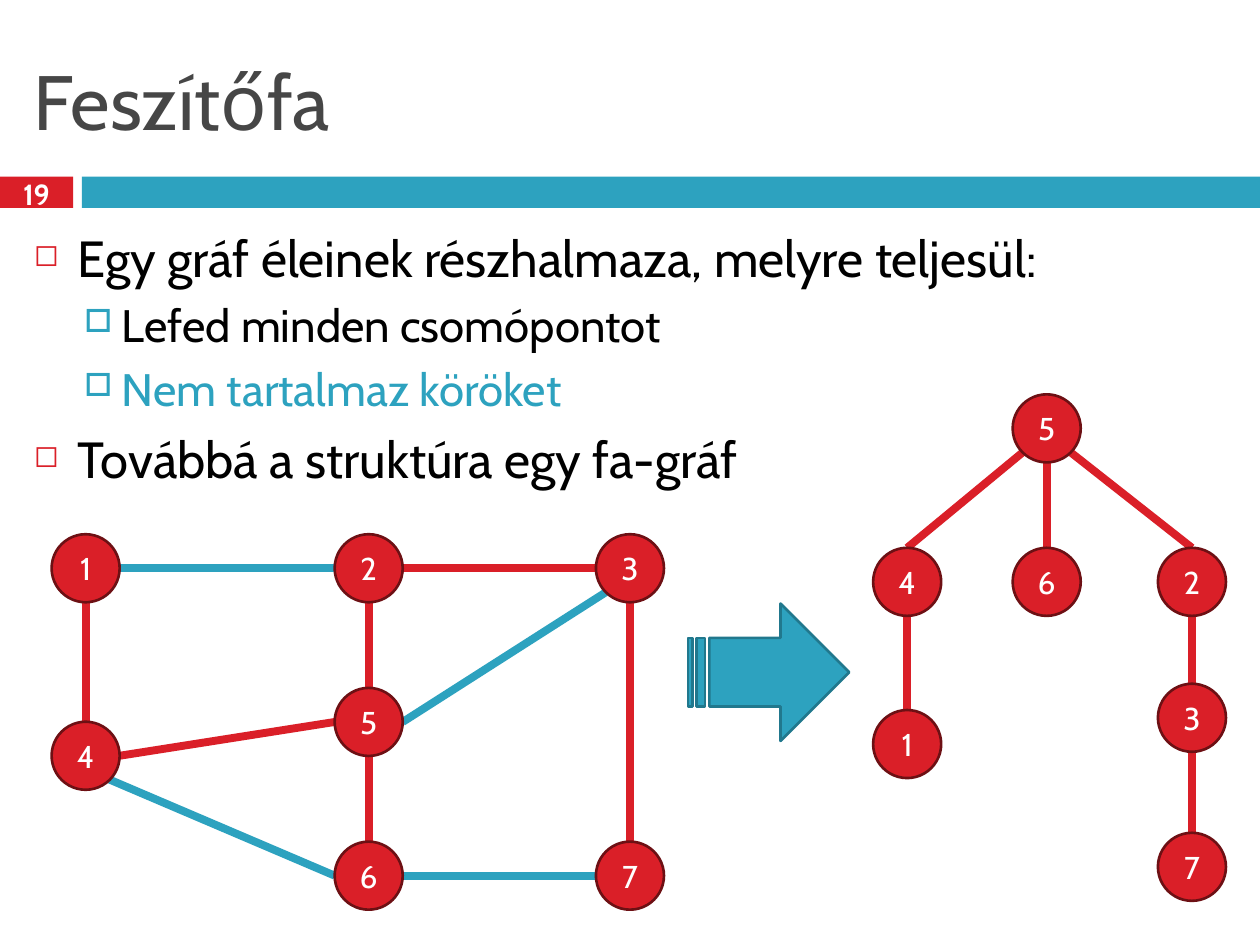
from dataclasses import dataclass

from lxml.etree import SubElement
from pptx import Presentation
from pptx.dml.color import RGBColor
from pptx.enum.shapes import MSO_CONNECTOR as Connector, MSO_SHAPE as Preset
from pptx.enum.text import MSO_ANCHOR as Anchor, PP_ALIGN as Align
from pptx.oxml.ns import qn
from pptx.util import Inches, Pt


@dataclass(frozen=True)
class Theme:
    font: str = "Cabin"
    red: str = "DA1F28"
    red_dark: str = "6D1014"
    blue: str = "2DA2BF"
    blue_dark: str = "21788D"
    grey: str = "464646"
    black: str = "000000"
    white: str = "FFFFFF"
    title: float = 44
    number: float = 16.6
    label: float = 18
    edge: float = 4.5
    outline: float = 1.5


@dataclass(frozen=True)
class Level:
    size: float
    indent: float
    hanging: float
    before: float
    bullet: str
    bullet_share: int
    bullet_color: str


THEME = Theme()
LEVELS = [Level(29, 0.35, 0.35, 7, "◻", 60, THEME.red),
          Level(26, 0.7, 0.3, 5.5, "□", 70, THEME.blue)]
WIDTH, HEIGHT = 10, 7.5
NODE = 0.54

# Where an edge meets a node, in node radii from its centre
SITES = {"n": (0, -1), "s": (0, 1), "w": (-1, 0), "e": (1, 0),
         "ne": (0.7, -0.7), "nw": (-0.7, -0.7),
         "se": (0.7, 0.7), "sw": (-0.7, 0.7)}


def color(value):
    return RGBColor.from_string(value)


def add_text(paragraph, text, *, size, fill=THEME.black, bold=False, align=Align.LEFT):
    paragraph.alignment = align
    run = paragraph.add_run()
    run.text = text
    font = run.font
    font.name, font.size, font.bold = THEME.font, Pt(size), bold
    font.color.rgb = color(fill)


def add_frame(slide, box, *, anchor=Anchor.TOP):
    frame = slide.shapes.add_textbox(*map(Inches, box)).text_frame
    frame.word_wrap = True
    frame.vertical_anchor = anchor
    return frame


def add_block(slide, preset, box, fill, outline=None):
    shape = slide.shapes.add_shape(preset, *map(Inches, box))
    shape.shadow.inherit = False
    shape.fill.solid()
    shape.fill.fore_color.rgb = color(fill)
    if outline:
        shape.line.color.rgb = color(outline)
        shape.line.width = Pt(THEME.outline)
    else:
        shape.line.fill.background()
    return shape


def add_edge(slide, start, end, stroke):
    edge = slide.shapes.add_connector(Connector.STRAIGHT, *map(Inches, (*start, *end)))
    edge.line.color.rgb = color(stroke)
    edge.line.width = Pt(THEME.edge)
    SubElement(edge._element.spPr, qn("a:effectLst"))


def add_node(slide, center, label):
    x, y = center
    node = add_block(slide, Preset.OVAL, (x - NODE / 2, y - NODE / 2, NODE, NODE),
                     THEME.red, THEME.red_dark)
    frame = node.text_frame
    frame.margin_left = frame.margin_right = 0
    frame.vertical_anchor = Anchor.MIDDLE
    add_text(frame.paragraphs[0], label, size=THEME.label, fill=THEME.white,
             align=Align.CENTER)


def set_bullet(paragraph, level):
    paragraph.space_before = Pt(level.before)
    properties = paragraph._p.get_or_add_pPr()
    properties.set("marL", str(Inches(level.indent)))
    properties.set("indent", str(-Inches(level.hanging)))
    bullet_color = SubElement(properties, qn("a:buClr"))
    SubElement(bullet_color, qn("a:srgbClr"), val=level.bullet_color)
    SubElement(properties, qn("a:buSzPct"), val=str(level.bullet_share * 1000))
    SubElement(properties, qn("a:buChar"), char=level.bullet)


def header(slide, box, title, number):
    """Title above a band whose left part holds the slide number."""
    left, top, width, height = box
    band_top, band_height = top + 0.85 * height, 0.15 * height
    tab, bar = 0.058 * width, 0.065 * width
    add_block(slide, Preset.RECTANGLE, (left, band_top, tab, band_height), THEME.red)
    add_block(slide, Preset.RECTANGLE,
              (left + bar, band_top, width - bar, band_height), THEME.blue)

    frame = add_frame(slide, (left + 0.017 * width, top + 0.15 * height,
                              0.967 * width, 0.655 * height), anchor=Anchor.MIDDLE)
    add_text(frame.paragraphs[0], title, size=THEME.title, fill=THEME.grey)

    frame = add_frame(slide, (left, band_top - 0.03, tab, 0.33), anchor=Anchor.MIDDLE)
    frame.margin_left = frame.margin_right = 0
    add_text(frame.paragraphs[0], number, size=THEME.number, fill=THEME.white,
             bold=True, align=Align.CENTER)


def bullets(slide, box, items):
    frame = add_frame(slide, box)
    for index, (depth, text, fill) in enumerate(items):
        paragraph = frame.add_paragraph() if index else frame.paragraphs[0]
        set_bullet(paragraph, LEVELS[depth])
        add_text(paragraph, text, size=LEVELS[depth].size, fill=fill)


def graph(slide, box, nodes, edges):
    """Nodes sit at (column, row) shares of the box; edges join their sites."""
    left, top, width, height = box
    centers = {label: (left + NODE / 2 + column * (width - NODE),
                       top + NODE / 2 + row * (height - NODE))
               for label, (column, row) in nodes.items()}

    def site(label, side):
        return [c + NODE / 2 * d for c, d in zip(centers[label], SITES[side])]

    for start, start_side, end, end_side, stroke in edges:
        add_edge(slide, site(start, start_side), site(end, end_side), stroke)
    for label, center in centers.items():
        add_node(slide, center, label)


presentation = Presentation()
presentation.slide_width, presentation.slide_height = Inches(WIDTH), Inches(HEIGHT)
slide = presentation.slides.add_slide(presentation.slide_layouts[6])

header(slide, (0, 0, WIDTH, 0.22 * HEIGHT), "Feszítőfa", "19")
bullets(slide, (0.17, 1.75, 9.67, 2.29), [
    (0, "Egy gráf éleinek részhalmaza, melyre teljesül:", THEME.black),
    (1, "Lefed minden csomópontot", THEME.black),
    (1, "Nem tartalmaz köröket", THEME.blue),
    (0, "Továbbá a struktúra egy fa-gráf", THEME.black),
])

# Graph with the spanning tree's edges in red
MIDDLE = 0.52
graph(slide, (0.41, 4.24, 4.86, 2.98),
      {"1": (0, 0), "4": (0, 0.61), "2": (MIDDLE, 0), "5": (MIDDLE, 0.5),
       "6": (MIDDLE, 1), "3": (1, 0), "7": (1, 1)},
      [("1", "e", "2", "w", THEME.blue), ("5", "e", "3", "sw", THEME.blue),
       ("6", "e", "7", "w", THEME.blue), ("4", "se", "6", "w", THEME.blue),
       ("2", "e", "3", "w", THEME.red), ("2", "s", "5", "n", THEME.red),
       ("5", "s", "6", "n", THEME.red), ("3", "s", "7", "n", THEME.red),
       ("1", "s", "4", "n", THEME.red), ("4", "e", "5", "w", THEME.red)])

# The same edges drawn as a tree
CENTER, BRANCH = 0.49, 0.35
graph(slide, (6.93, 3.13, 2.8, 4.02),
      {"5": (CENTER, 0), "4": (0, BRANCH), "6": (CENTER, BRANCH), "2": (1, BRANCH),
       "1": (0, 0.72), "3": (1, 0.66), "7": (1, 1)},
      [(*edge, THEME.red) for edge in (
          ("5", "sw", "4", "n"), ("5", "s", "6", "n"), ("5", "se", "2", "n"),
          ("4", "s", "1", "n"), ("2", "s", "3", "n"), ("3", "s", "7", "n"))])

# Arrow from graph to tree
add_block(slide, Preset.STRIPED_RIGHT_ARROW, (5.46, 4.79, 1.28, 1.09),
          THEME.blue, THEME.blue_dark)

presentation.save("out.pptx")
